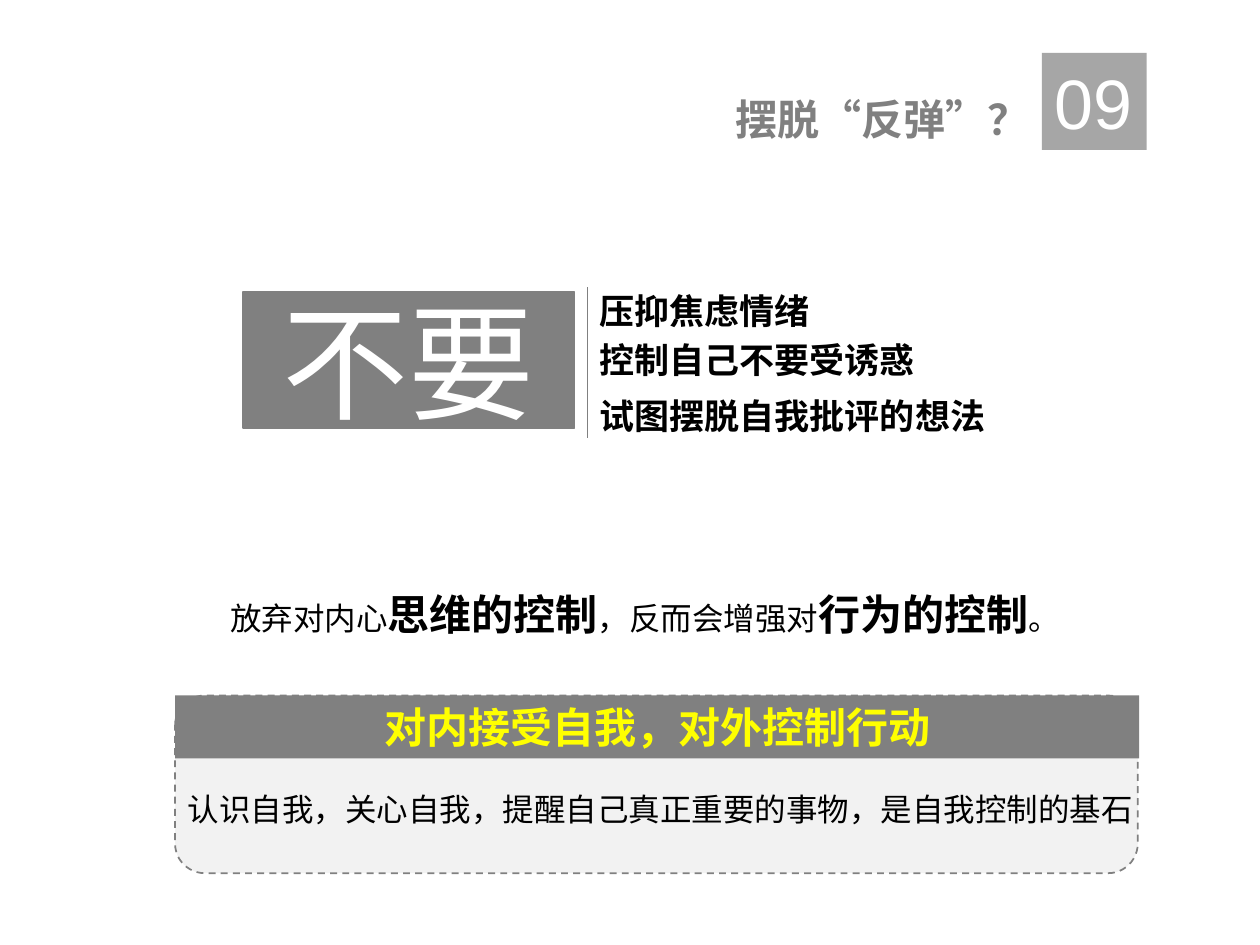
"""Build the slide on rebound, self-control and self-acceptance."""
from dataclasses import dataclass

from lxml.etree import SubElement
from pptx import Presentation
from pptx.dml.color import RGBColor as Rgb
from pptx.enum.dml import MSO_LINE_DASH_STYLE as Dash
from pptx.enum.shapes import MSO_CONNECTOR_TYPE as Connector, MSO_SHAPE as Shape
from pptx.enum.text import MSO_ANCHOR as Anchor, MSO_AUTO_SIZE as AutoSize, PP_ALIGN as Align
from pptx.oxml.ns import qn
from pptx.util import Inches, Pt


@dataclass(frozen=True)
class Theme:
    latin: str = "Arial"
    chinese: str = "Noto Sans CJK SC"
    black: str = "000000"
    white: str = "FFFFFF"
    grey: str = "808080"
    badge: str = "A6A6A6"
    panel: str = "F2F2F2"
    highlight: str = "FFFF00"
    body: int = 18
    item: int = 20
    heading: int = 24
    number: int = 40
    display: int = 72


THEME = Theme()
COLUMNS, ROWS = 100, 75
LEFT, PANEL_TOP = 13.9, 55.2

TITLE, NUMBER = "摆脱“反弹”？", "09"
WARNING = "不要"
HABITS = [
    ("压抑焦虑情绪", 22.5, 18.8),
    ("控制自己不要受诱惑", 26.4, 27.3),
    ("试图摆脱自我批评的想法", 30.8, 32.9),
]
PARADOX = [
    ("放弃对内心", False),
    ("思维的控制", True),
    ("，反而会增强对", False),
    ("行为的控制", True),
    ("。", False),
]
MOTTO = "对内接受自我，对外控制行动"
FOUNDATION = "认识自我，关心自我，提醒自己真正重要的事物，是自我控制的基石"

deck = Presentation()
deck.slide_width, deck.slide_height = Inches(10), Inches(7.5)
slide = deck.slides.add_slide(deck.slide_layouts[6])
shapes = slide.shapes


def place(x, y, *size):
    cells = zip((x, y, *size), (deck.slide_width / COLUMNS, deck.slide_height / ROWS) * 2)
    return [round(count * unit) for count, unit in cells]


def style(font, size, color, bold=False, latin=THEME.chinese):
    font.size, font.bold, font.name = Pt(size), bold, latin
    font.color.rgb = Rgb.from_string(color)
    SubElement(font._element, qn("a:ea"), typeface=THEME.chinese)


def write(holder, text, size, color, bold=False, align=Align.LEFT,
          latin=THEME.chinese, wrap=True, anchor=Anchor.TOP, grow=True):
    frame = holder.text_frame
    frame.word_wrap, frame.vertical_anchor = wrap, anchor
    frame.auto_size = AutoSize.SHAPE_TO_FIT_TEXT if grow else AutoSize.NONE
    paragraph = frame.paragraphs[0]
    paragraph.text, paragraph.alignment = text, align
    style(paragraph.font, size, color, bold, latin)


def block(area, fill, outline=None, kind=Shape.RECTANGLE):
    box = shapes.add_shape(kind, *place(*area))
    box.shadow.inherit = False
    box.fill.solid()
    box.fill.fore_color.rgb = Rgb.from_string(fill)
    if outline:
        box.line.color.rgb = Rgb.from_string(outline)
        box.line.width = Pt(1)
    else:
        box.line.fill.background()
    return box


def label(area):
    return shapes.add_textbox(*place(*area))


panel = block((LEFT, PANEL_TOP, 76.4, 14.1), THEME.panel, THEME.grey, Shape.ROUNDED_RECTANGLE)
panel.line.dash_style = Dash.DASH

paradox = label((17.3, 46.2, 69.5, 5)).text_frame
paradox.word_wrap, paradox.auto_size = True, AutoSize.SHAPE_TO_FIT_TEXT
sentence = paradox.paragraphs[0]
sentence.alignment = Align.JUSTIFY
for words, strong in PARADOX:
    run = sentence.add_run()
    run.text = words
    style(run.font, THEME.heading if strong else THEME.body, THEME.black, strong)

write(label((25.1, 6.9, 57.6, 5)), TITLE, THEME.heading, THEME.grey, True, Align.RIGHT)
write(block((82.7, 4.2, 8.3, 7.7), THEME.badge), NUMBER, THEME.number, THEME.white,
      latin=THEME.latin, wrap=False)

for habit, top, width in HABITS:
    write(label((46.6, top, width, 4.4)), habit, THEME.item, THEME.black, True, wrap=False)

divider = shapes.add_connector(Connector.STRAIGHT, *place(46.6, 22.8, 46.6, 34.8))
divider.line.color.rgb = Rgb.from_string(THEME.grey)
divider.line.width = Pt(0.5)
SubElement(divider._element.spPr, qn("a:effectLst"))

write(block((19.3, 23.2, 26.3, 10.8), THEME.grey, THEME.grey), WARNING, THEME.display,
      THEME.white, align=Align.CENTER, latin=THEME.latin, anchor=Anchor.MIDDLE, grow=False)
write(block((LEFT, PANEL_TOP, 76.5, 5), THEME.grey), MOTTO, THEME.heading,
      THEME.highlight, True, Align.CENTER)
write(label((LEFT, 62.2, 80.7, 4.1)), FOUNDATION, THEME.body, THEME.black, latin=THEME.latin)

deck.save("out.pptx")
